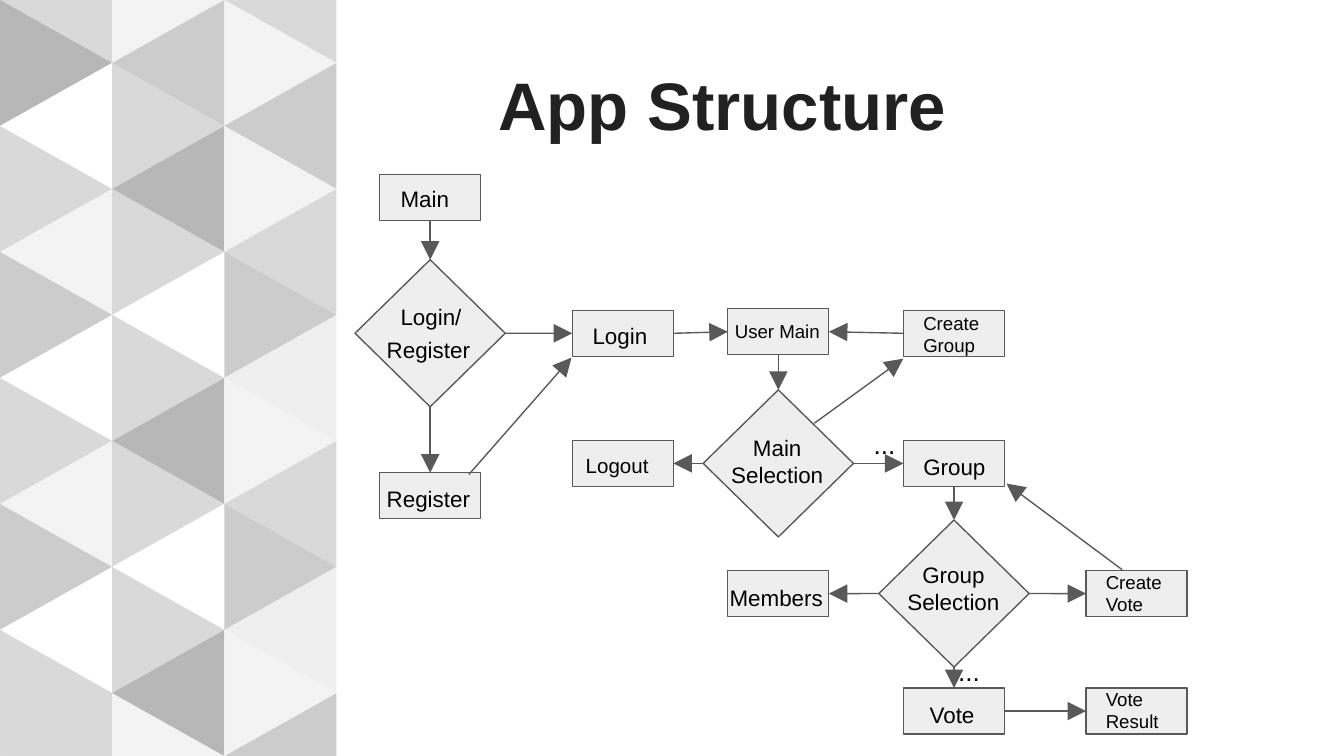
from lxml import etree
from pptx import Presentation
from pptx.dml.color import RGBColor
from pptx.enum.shapes import MSO_CONNECTOR, MSO_SHAPE
from pptx.enum.text import MSO_ANCHOR, PP_ALIGN
from pptx.oxml.ns import qn
from pptx.util import Cm, Pt

STRAIGHT = MSO_CONNECTOR.STRAIGHT
RECT, DIAMOND = MSO_SHAPE.RECTANGLE, MSO_SHAPE.DIAMOND
TRIANGLE, CORNER = MSO_SHAPE.ISOSCELES_TRIANGLE, MSO_SHAPE.RIGHT_TRIANGLE
TOP_ANCHOR, BOTTOM_ANCHOR = MSO_ANCHOR.TOP, MSO_ANCHOR.BOTTOM
LEFT_ALIGN, CENTER_ALIGN = PP_ALIGN.LEFT, PP_ALIGN.CENTER
TOP, LEFT, BOTTOM, RIGHT = range(4)  # connection sites

SLIDE_W, SLIDE_H = 25.4, 14.29
NODE_SIZES = {RECT: (1.91, 0.87), DIAMOND: (2.84, 2.78)}


def color(hex_code):
    """Turn a hex string into a colour."""
    return RGBColor.from_string(hex_code)


class FlowSlide:
    """Style and drawing methods for the current slide."""

    font = "Arial"
    ink, title_ink = "000000", "212121"
    node_fill, stroke = "EEEEEE", "595959"
    stroke_width = Pt(0.75)

    def __init__(self, slide):
        self.slide = slide

    def shape(self, kind, x, y, w, h, fill):
        """Add a borderless shape centred on x, y."""
        shape = self.slide.shapes.add_shape(
            kind, Cm(x - w / 2), Cm(y - h / 2), Cm(w), Cm(h))
        shape.shadow.inherit = False
        shape.fill.solid()
        shape.fill.fore_color.rgb = color(fill)
        shape.line.fill.background()
        return shape

    def tile(self, kind, x, y, w, h, fill, rotation, flip=False):
        """Add a turned mosaic tile; w and h are its size before turning."""
        tile = self.shape(kind, x, y, w, h, fill)
        tile.rotation = rotation
        if flip:
            tile._element.spPr.find(qn("a:xfrm")).set("flipH", "1")

    def outline(self, line):
        """Apply the common stroke to a line."""
        line.color.rgb = color(self.stroke)
        line.width = self.stroke_width

    def node(self, kind, x, y):
        """Add a flowchart node centred on x, y."""
        node = self.shape(kind, x, y, *NODE_SIZES[kind], self.node_fill)
        self.outline(node.line)
        return node

    def arrow(self, start=(0, 0), end=(0, 0)):
        """Add a straight arrow between two points."""
        arrow = self.slide.shapes.add_connector(
            STRAIGHT, *(Cm(v) for v in (*start, *end)))
        self.outline(arrow.line)
        etree.SubElement(arrow.line._get_or_add_ln(), qn("a:tailEnd"),
                         type="triangle", w="lg", len="lg")
        etree.SubElement(arrow._element.spPr, qn("a:effectLst"))
        return arrow

    def link(self, source, source_site, target, target_site):
        """Add an arrow glued to two nodes."""
        arrow = self.arrow()
        arrow.begin_connect(source, source_site)
        arrow.end_connect(target, target_site)

    def text(self, words, x, y, w, h, size, align=LEFT_ALIGN, ink=None,
             bold=False, anchor=TOP_ANCHOR):
        """Add a wrapping text box, one paragraph per line of words."""
        frame = self.slide.shapes.add_textbox(
            Cm(x), Cm(y), Cm(w), Cm(h)).text_frame
        frame.word_wrap = True
        frame.vertical_anchor = anchor
        frame.margin_left = frame.margin_right = Cm(0.25)
        frame.margin_top = frame.margin_bottom = Cm(0.25)
        frame.text = words
        for paragraph in frame.paragraphs:
            paragraph.alignment = align
            font = paragraph.font
            font.name, font.size, font.bold = self.font, Pt(size), bold
            font.color.rgb = color(ink or self.ink)


def draw_mosaic(page):
    """Fill the left band with three columns of interlocking triangles."""
    step, width = SLIDE_H / 12, 2.12
    columns = [
        ("D9D9D9", "B7B7B7 FFFFFF D9D9D9 F3F3F3 CCCCCC FFFFFF "
                   "D9D9D9 F3F3F3 CCCCCC FFFFFF D9D9D9", "D9D9D9"),
        ("F3F3F3", "CCCCCC D9D9D9 B7B7B7 D9D9D9 FFFFFF D9D9D9 "
                   "B7B7B7 D9D9D9 FFFFFF D9D9D9 B7B7B7", "F3F3F3"),
        ("D9D9D9", "F3F3F3 CCCCCC F3F3F3 D9D9D9 CCCCCC EFEFEF "
                   "F3F3F3 D9D9D9 CCCCCC EFEFEF F3F3F3", "CCCCCC"),
    ]
    for column, (top_fill, fills, bottom_fill) in enumerate(columns):
        x = (column + 0.5) * width
        odd = column % 2 == 1
        turn = 90 if odd else 270
        page.tile(CORNER, x, step / 2, step, width, top_fill, turn, not odd)
        page.tile(CORNER, x, SLIDE_H - step / 2, step, width, bottom_fill,
                  turn, odd)
        for row, fill in enumerate(fills.split()):
            turn = 90 if (column + row) % 2 == 0 else 270
            page.tile(TRIANGLE, x, (row + 1) * step, 2 * step, width,
                      fill, turn)


def draw_flow(page):
    """Draw the nodes, arrows and labels of the app structure."""
    col_a, col_b, col_c, col_d, col_e = 8.13, 11.77, 14.71, 18.03, 21.48
    row_a, row_b, row_c, row_d, row_e = 3.73, 6.3, 8.76, 11.22, 13.44

    main = page.node(RECT, col_a, row_a)
    entry_choice = page.node(DIAMOND, col_a, row_b)
    register = page.node(RECT, col_a, 9.37)
    login = page.node(RECT, col_b, row_b)
    logout = page.node(RECT, col_b, row_c)
    user_main = page.node(RECT, col_c, 6.27)
    main_choice = page.node(DIAMOND, col_c, row_c)
    members = page.node(RECT, col_c, row_d)
    create_group = page.node(RECT, col_d, row_b)
    group = page.node(RECT, col_d, row_c)
    group_choice = page.node(DIAMOND, col_d, row_d)
    vote = page.node(RECT, col_d, row_e)
    create_vote = page.node(RECT, col_e, row_d)
    vote_result = page.node(RECT, col_e, row_e)

    for link in [
        (main, BOTTOM, entry_choice, TOP),
        (entry_choice, BOTTOM, register, TOP),
        (entry_choice, RIGHT, login, LEFT),
        (login, RIGHT, user_main, LEFT),
        (create_group, LEFT, user_main, RIGHT),
        (user_main, BOTTOM, main_choice, TOP),
        (main_choice, LEFT, logout, RIGHT),
        (main_choice, RIGHT, group, LEFT),
        (group, BOTTOM, group_choice, TOP),
        (group_choice, LEFT, members, RIGHT),
        (group_choice, RIGHT, create_vote, LEFT),
        (group_choice, BOTTOM, vote, TOP),
        (vote, RIGHT, vote_result, LEFT),
    ]:
        page.link(*link)
    page.arrow((8.86, 8.97), (10.8, 6.76))
    page.arrow((15.39, 8.0), (17.07, 6.78))
    page.arrow((21.21, 10.77), (19.02, 9.14))

    for label in [
        ("Main", 7.32, 3.25, 1.65, 0.91, 12),
        ("Login/", 7.32, 5.49, 2.49, 0.69, 12),
        ("Register", 7.06, 6.1, 2.49, 0.91, 12),
        ("Register", 7.06, 8.92, 2.49, 0.91, 12),
        ("Login", 10.95, 5.84, 1.65, 0.91, 12),
        ("Logout", 10.82, 8.33, 1.91, 0.69, 11),
        ("User Main", 13.64, 5.84, 2.84, 0.69, 10),
        ("Main\nSelection", 13.56, 7.95, 2.26, 1.24, 12, CENTER_ALIGN),
        ("Members", 13.54, 10.8, 2.31, 0.64, 12),
        ("Create\nGroup", 17.2, 5.64, 2.59, 0.64, 10),
        ("Group", 17.2, 8.31, 1.91, 0.69, 12),
        ("Group\nSelection", 16.89, 10.36, 2.26, 1.24, 12, CENTER_ALIGN),
        ("Vote", 17.32, 13.0, 1.68, 0.64, 12),
        ("Create\nVote", 20.65, 10.54, 2.26, 0.69, 10),
        ("Vote Result", 20.65, 12.75, 2.26, 0.69, 10),
        ("...", 16.26, 7.85, 1.27, 0.64, 14),
        ("...", 17.86, 12.14, 1.27, 0.64, 14),
    ]:
        page.text(*label)


deck = Presentation()
deck.slide_width, deck.slide_height = Cm(SLIDE_W), Cm(SLIDE_H)
structure = FlowSlide(deck.slides.add_slide(deck.slide_layouts[6]))
draw_mosaic(structure)
structure.text("App Structure", 9.17, 1.12, 13.92, 1.85, 36,
               ink=structure.title_ink, bold=True, anchor=BOTTOM_ANCHOR)
draw_flow(structure)
deck.save("out.pptx")
